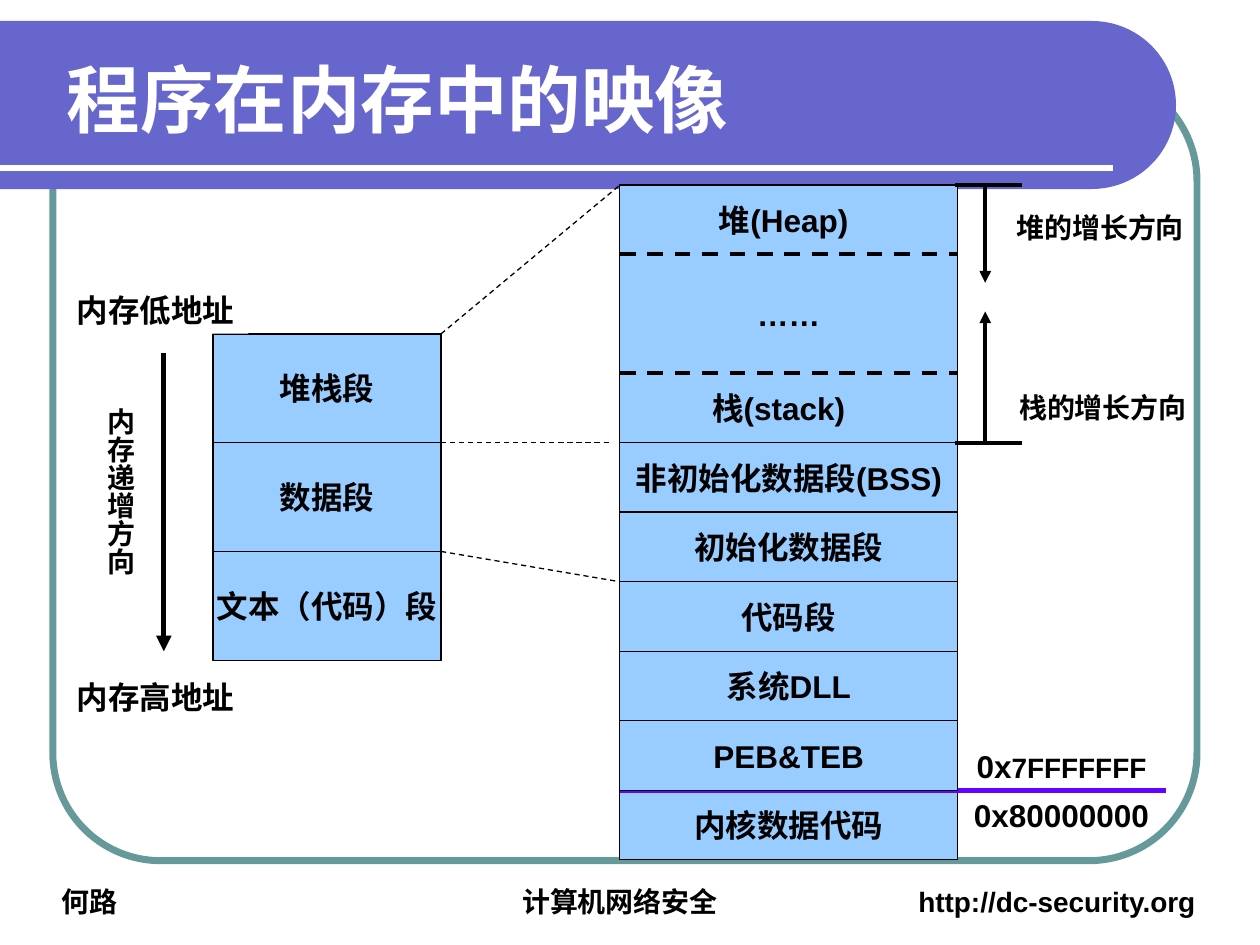
"""Build a slide that shows how a program is laid out in memory."""
import math

from lxml import etree
from pptx import Presentation
from pptx.dml.color import RGBColor
from pptx.enum.dml import MSO_LINE
from pptx.enum.shapes import MSO_CONNECTOR, MSO_SHAPE
from pptx.enum.text import MSO_ANCHOR, PP_ALIGN
from pptx.oxml.ns import qn
from pptx.util import Pt

RECTANGLE, ROUNDED = MSO_SHAPE.RECTANGLE, MSO_SHAPE.ROUNDED_RECTANGLE
STRAIGHT, DASH = MSO_CONNECTOR.STRAIGHT, MSO_LINE.DASH
TOP, MIDDLE = MSO_ANCHOR.TOP, MSO_ANCHOR.MIDDLE
LEFT, CENTER, JUSTIFY = PP_ALIGN.LEFT, PP_ALIGN.CENTER, PP_ALIGN.JUSTIFY

BLACK = RGBColor(0x00, 0x00, 0x00)
WHITE = RGBColor(0xFF, 0xFF, 0xFF)
BLOCK_BLUE = RGBColor(0x99, 0xCC, 0xFF)
BANNER_BLUE = RGBColor(0x66, 0x66, 0xCC)
FRAME_TEAL = RGBColor(0x66, 0x99, 0x99)
BOUNDARY_VIOLET = RGBColor(0x66, 0x00, 0xFF)

SANS, SERIF = "Arial", "Times New Roman"

TITLE = "程序在内存中的映像"
SEGMENTS = ["堆栈段", "数据段", "文本（代码）段"]
ROWS = ["非初始化数据段(BSS)", "初始化数据段", "代码段", "系统DLL", "PEB&TEB", "内核数据代码"]
FOOTERS = [
    ("何路", (28, 502, 96, 27), LEFT),
    ("计算机网络安全", (270, 502, 168.5, 27), CENTER),
    ("http://dc-security.org", (517.7, 502, 202.3, 27), LEFT),
]
ADDRESS_ENDS = [("内存低地址", 162.7), ("内存高地址", 383.8)]
DIRECTION = "内存递增方向"
GROWTH_LABELS = [
    ("堆的增长方向", (573.8, 116.6, 115.2, 28)),
    ("栈的增长方向", (575.3, 219.6, 114.5, 28)),
]
BLOCK_LABELS = [
    ("堆(Heap)", (354.2, 100, 187.2, 51)),
    ("栈(stack)", (348.5, 207.4, 193, 51)),
]
ADDRESSES = [
    ([("0x", 18), ("7FFFFFFF", 16)], (529.9, 423.4, 153.4, 28.8), 10),
    ([("0x80000000", 18)], (535.7, 451.4, 141.8, 28.8), 11.2),
]

SEGMENT_X, SEGMENT_TOP, SEGMENT_W, SEGMENT_H = 121.7, 190.8, 130.3, 62.15
COLUMN_X, COLUMN_TOP, COLUMN_W, ROW_H = 354.2, 105.8, 193, 39.74
STACK_BOTTOM = SEGMENT_TOP + SEGMENT_H
ROWS_TOP = STACK_BOTTOM
SEGMENT_RIGHT = SEGMENT_X + SEGMENT_W
COLUMN_RIGHT = COLUMN_X + COLUMN_W
BOUNDARY_Y = ROWS_TOP + 5 * ROW_H
GROWTH_X = 563


def write(shape, runs, size=18, font=SANS, color=BLACK, align=CENTER,
          anchor=TOP, wrap=True, margins=(7.2, 3.6), before=0):
    frame = shape.text_frame
    horizontal, vertical = map(Pt, margins)
    frame_format = {
        "word_wrap": wrap, "vertical_anchor": anchor,
        "margin_left": horizontal, "margin_right": horizontal,
        "margin_top": vertical, "margin_bottom": vertical,
    }
    for name, value in frame_format.items():
        setattr(frame, name, value)
    paragraph = frame.paragraphs[0]
    paragraph.alignment = align
    paragraph.space_before = Pt(before)
    for text, run_size in [(runs, size)] if isinstance(runs, str) else runs:
        run = paragraph.add_run()
        run.text = text
        run.font.color.rgb = color
        for name, value in {"name": font, "size": Pt(run_size), "bold": True}.items():
            setattr(run.font, name, value)


def paint(shape, fill=None, line=None, width=0.75):
    shape.shadow.inherit = False
    for part, color in ((shape.fill, fill), (shape.line.fill, line)):
        if color is None:
            part.background()
        else:
            part.solid()
            part.fore_color.rgb = color
    if line is not None:
        shape.line.width = Pt(width)


def add_box(slide, box, fill=None, line=None, width=0.75, kind=RECTANGLE):
    shape = slide.shapes.add_shape(kind, *map(Pt, box))
    paint(shape, fill, line, width)
    return shape


def add_label(slide, text, box, **text_format):
    write(slide.shapes.add_textbox(*map(Pt, box)), text, **text_format)


def add_block(slide, text, box):
    write(add_box(slide, box, BLOCK_BLUE, BLACK), text, anchor=MIDDLE, wrap=False)


def add_line(slide, start, end, width=0.75, color=BLACK, dash=None, arrow=False):
    line = slide.shapes.add_connector(STRAIGHT, *map(Pt, (*start, *end)))
    line.line.color.rgb = color
    line.line.width = Pt(width)
    if dash:
        line.line.dash_style = dash
    if arrow:
        etree.SubElement(line.line._get_or_add_ln(), qn("a:tailEnd"), type="triangle")
    etree.SubElement(line._element.spPr, qn("a:effectLst"))


def add_backdrop(slide):
    frame = add_box(slide, (30.2, 41.8, 653.8, 450), line=FRAME_TEAL, width=4, kind=ROUNDED)
    frame.adjustments[0] = 0.137
    top, radius, center_x, steps = 12, 48, 624, 48
    angles = [math.pi * (step / steps - 0.5) for step in range(steps + 1)]
    arc = [(Pt(center_x + radius * math.cos(angle)),
            Pt(top + radius + radius * math.sin(angle))) for angle in angles]
    builder = slide.shapes.build_freeform(0, Pt(top))
    builder.add_line_segments([*arc, (0, Pt(top + 2 * radius))], close=True)
    paint(builder.convert_to_shape(), BANNER_BLUE)
    add_line(slide, (0, 96), (636, 96), 3, WHITE)
    for text, box, align in FOOTERS:
        add_label(slide, text, box, size=16, align=align)
    add_label(slide, TITLE, (31, 20.2, 553, 72), size=42, color=WHITE, align=LEFT, anchor=MIDDLE)


def add_segments(slide):
    for index, text in enumerate(SEGMENTS):
        add_block(slide, text, (SEGMENT_X, SEGMENT_TOP + index * SEGMENT_H, SEGMENT_W, SEGMENT_H))
    for text, top in ADDRESS_ENDS:
        write(add_box(slide, (36.7, top, 105.2, 28), WHITE), text, font=SERIF, align=JUSTIFY)
    direction = add_box(slide, (43.9, 226, 38.2, 140.4), WHITE)
    write(direction, DIRECTION, size=16, font=SERIF, align=JUSTIFY, margins=(3.6, 7.2))
    direction.text_frame._txBody.bodyPr.set("vert", "eaVert")
    add_line(slide, (93.6, 201.6), (93.6, 372.2), 3, arrow=True)


def add_column(slide):
    add_block(slide, "……", (COLUMN_X, COLUMN_TOP, COLUMN_W, STACK_BOTTOM - COLUMN_TOP))
    for index, text in reversed(list(enumerate(ROWS))):
        add_block(slide, text, (COLUMN_X, ROWS_TOP + index * ROW_H, COLUMN_W, ROW_H))
        if index == len(ROWS) - 1:
            add_line(slide, (666, BOUNDARY_Y), (COLUMN_X, BOUNDARY_Y), 3, BOUNDARY_VIOLET)
    for text, box in BLOCK_LABELS:
        add_label(slide, text, box, anchor=MIDDLE, wrap=False)
    for y in (145.4, 213.1):
        add_line(slide, (COLUMN_X, y), (COLUMN_RIGHT, y), 2.25, dash=DASH)
    for runs, box, before in ADDRESSES:
        add_label(slide, runs, box, before=before)


def add_links(slide):
    for text, box in GROWTH_LABELS:
        add_label(slide, text, box, size=16, font=SERIF, align=JUSTIFY)
    for y, tip in ((COLUMN_TOP, 161.6), (STACK_BOTTOM, 178)):
        add_line(slide, (545.8, y), (584, y), 2.25)
        add_line(slide, (GROWTH_X, y), (GROWTH_X, tip), 2.25, arrow=True)
    ends = [(COLUMN_X, COLUMN_TOP), (348.5, STACK_BOTTOM), (COLUMN_X, ROWS_TOP + 2 * ROW_H)]
    for index, end in enumerate(ends):
        add_line(slide, (SEGMENT_RIGHT, SEGMENT_TOP + index * SEGMENT_H), end, dash=DASH)


def main():
    presentation = Presentation()
    presentation.slide_width, presentation.slide_height = Pt(720), Pt(540)
    slide = presentation.slides.add_slide(presentation.slide_layouts[6])
    for add_part in (add_backdrop, add_segments, add_column, add_links):
        add_part(slide)
    presentation.save("out.pptx")


if __name__ == "__main__":
    main()
